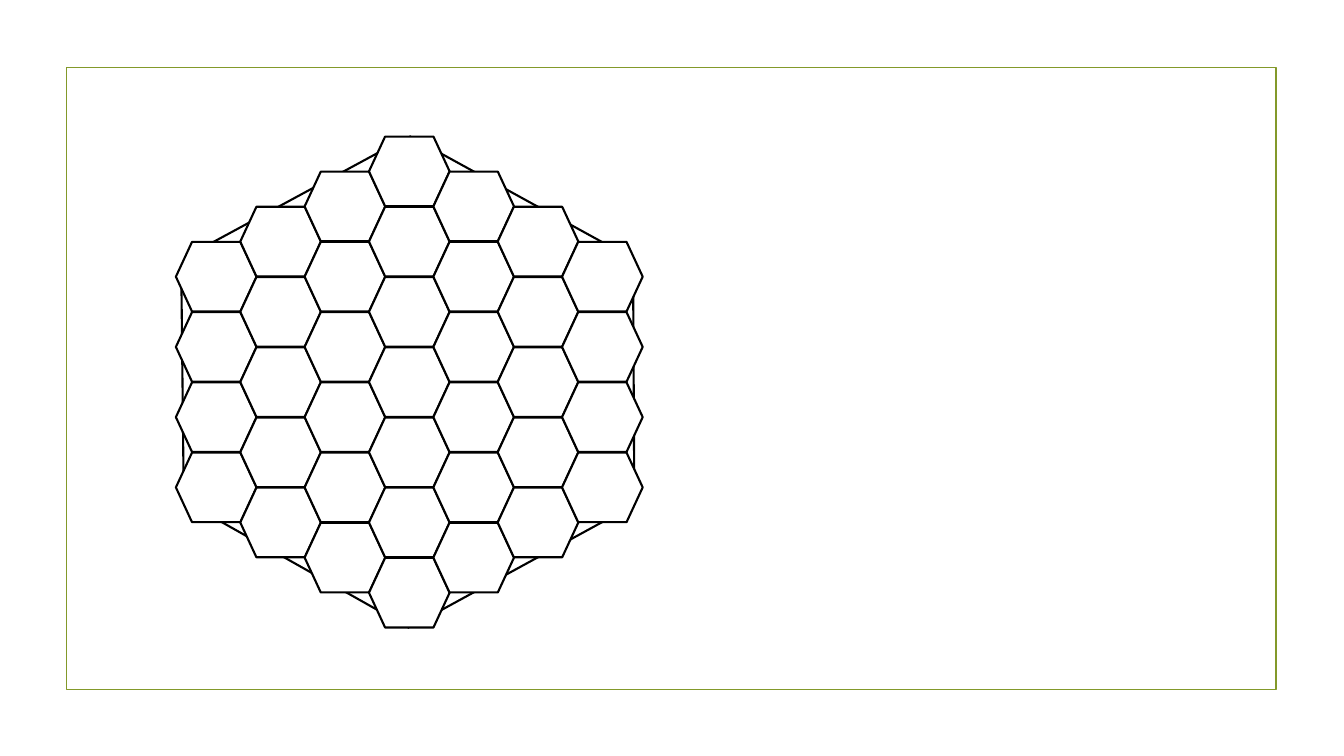
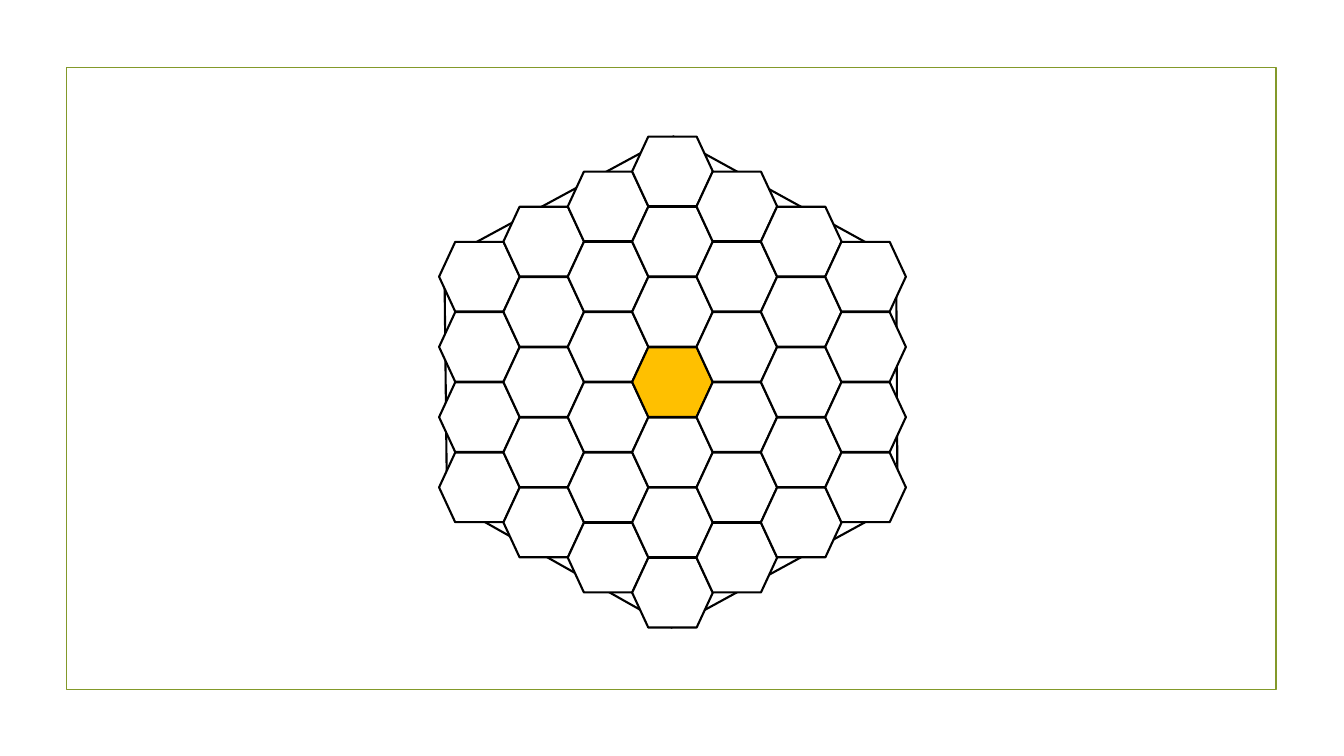
import pptx
import pptx.dml.color
import pptx.enum.shapes
import pptx.oxml.ns
import pptx.util
from lxml import etree

Inches = pptx.util.Inches
Pt = pptx.util.Pt
RGBColor = pptx.dml.color.RGBColor
Shape = pptx.enum.shapes.MSO_SHAPE

GREEN = RGBColor(0x83, 0x99, 0x2A)
BLACK = RGBColor(0x00, 0x00, 0x00)
WHITE = RGBColor(0xFF, 0xFF, 0xFF)
AMBER = RGBColor(0xFF, 0xC0, 0x00)

RINGS = 3
CELL_WIDTH, CELL_HEIGHT = 0.8, 0.69
COLUMN_STEP = 3.83 / (2 * RINGS)
ROW_STEP = 4.18 / (2 * RINGS)
CENTER_Y = 3.79

# Edges behind the comb, from and to, with x measured from the comb's centre
EDGES = [
    (0.23, 6.1, 2.15, 5.05),
    (-2.09, 5.05, 0, 6.23),
    (-2.09, 2.48, -0.17, 1.44),
    (0, 1.35, 1.91, 2.4),
    (2.22, 2.85, 2.23, 4.69),
    (-2.26, 2.84, -2.24, 4.68),
]

# Horizontal centre of the comb and fill of its middle cell on each page
COMBS = [(4.06, WHITE), (6.67, AMBER)]


def set_line(shape, color, width):
    shape.line.color.rgb = color
    shape.line.width = Pt(width)


deck = pptx.Presentation()
deck.slide_width = Inches(13.33)
deck.slide_height = Inches(7.5)

layout = deck.slide_layouts[6]
for placeholder in list(layout.placeholders):
    layout.shapes.element.remove(placeholder.element)
pages = [deck.slides.add_slide(layout) for comb in COMBS]

# The frame is shared: it is made once and moved to the layout
frame = pages[0].shapes.add_shape(
    Shape.RECTANGLE, Inches(0.66), Inches(0.67), Inches(12), Inches(6.17))
frame.fill.background()
frame.shadow.inherit = False
set_line(frame, GREEN, 1.25)
layout.shapes.element.append(frame.element)

for page, (center_x, middle_fill) in zip(pages, COMBS):
    comb = page.shapes.add_group_shape()

    for from_x, from_y, to_x, to_y in EDGES:
        edge = comb.shapes.add_connector(
            pptx.enum.shapes.MSO_CONNECTOR.STRAIGHT,
            Inches(center_x + from_x), Inches(from_y),
            Inches(center_x + to_x), Inches(to_y))
        set_line(edge, BLACK, 1.5)
        etree.SubElement(edge.element.spPr, pptx.oxml.ns.qn("a:effectLst"))

    for column in range(-RINGS, RINGS + 1):
        cell_count = 2 * RINGS + 1 - abs(column)
        for row in range(cell_count):
            rows_from_middle = row - (cell_count - 1) / 2
            cell = comb.shapes.add_shape(
                Shape.FLOWCHART_PREPARATION,
                Inches(center_x + column * COLUMN_STEP - CELL_WIDTH / 2),
                Inches(CENTER_Y + rows_from_middle * ROW_STEP - CELL_HEIGHT / 2),
                Inches(CELL_WIDTH), Inches(CELL_HEIGHT))
            is_middle = column == 0 and rows_from_middle == 0
            cell.fill.solid()
            cell.fill.fore_color.rgb = middle_fill if is_middle else WHITE
            cell.shadow.inherit = False
            set_line(cell, BLACK, 1.5)

deck.save("out.pptx")
